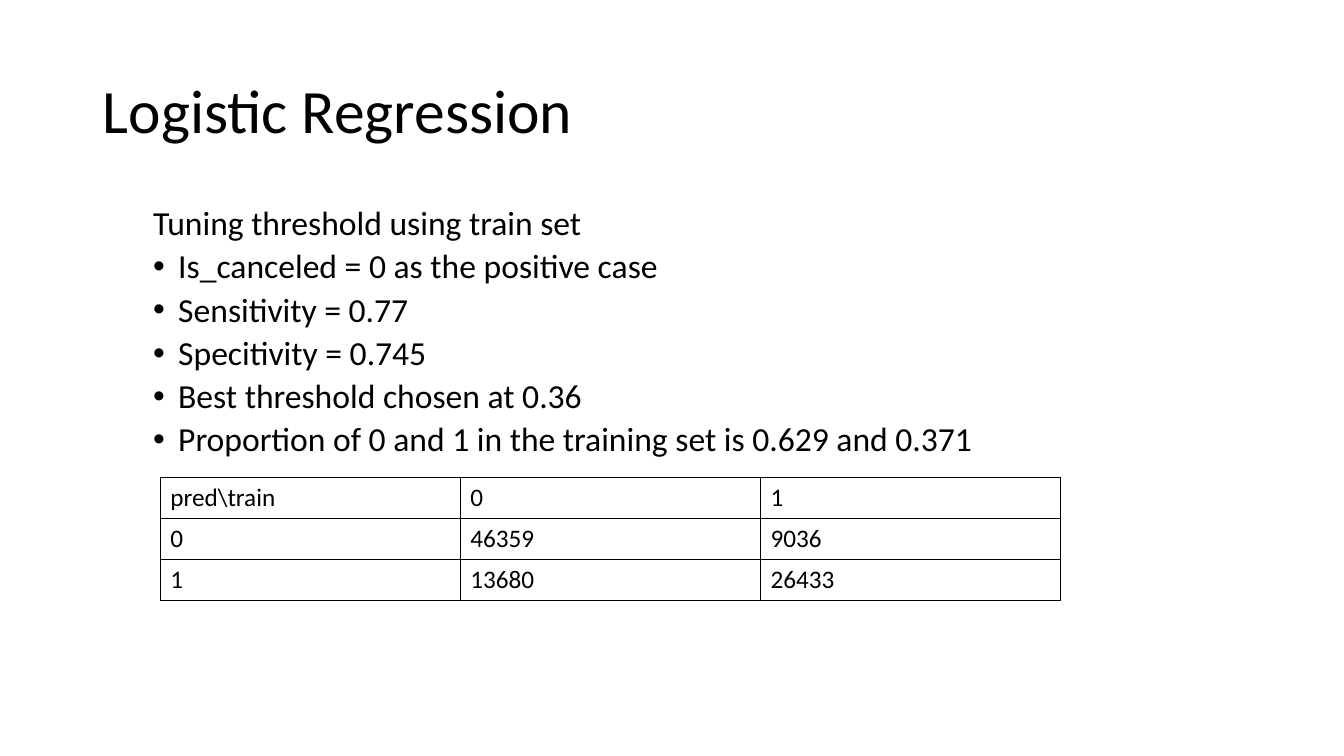
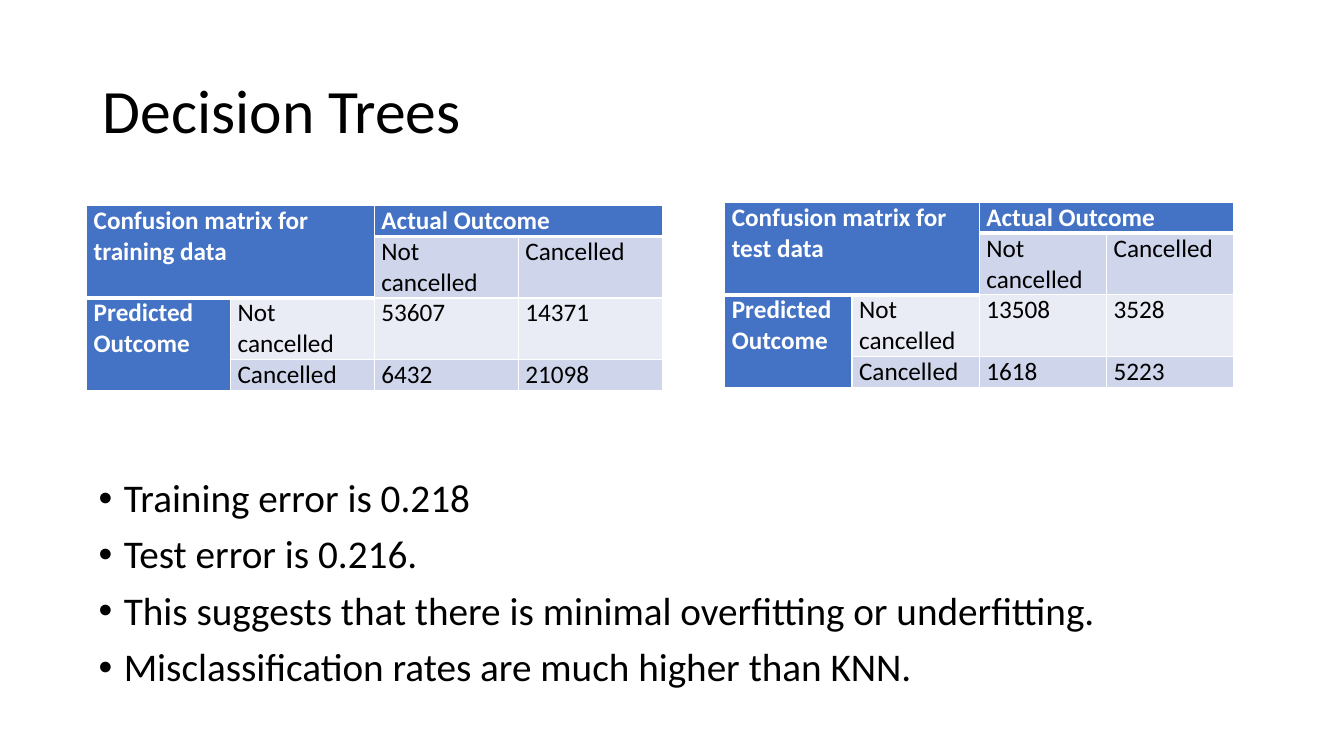
"""Build two slides that report classifier results."""
from dataclasses import dataclass

from lxml.etree import SubElement
from pptx import Presentation
from pptx.dml.color import RGBColor
from pptx.enum.text import MSO_ANCHOR, MSO_AUTO_SIZE, PP_ALIGN
from pptx.oxml.ns import qn
from pptx.util import Emu, Inches, Pt


@dataclass(frozen=True)
class Theme:
    """Colours, type sizes and font of the deck."""
    font: str = "Calibri"
    ink: str = "000000"
    paper: str = "FFFFFF"
    accent: str = "4472C4"
    band_dark: str = "CFD5EA"
    band_light: str = "E9EBF5"
    title: int = 44
    body: int = 28
    sub: int = 24
    cell: int = 18


def write(p, text, *, size, color, font, bold=False):
    """Add one formatted run to a paragraph."""
    r = p.add_run()
    r.text = text
    r.font.name, r.font.size, r.font.bold = font, Pt(size), bold
    r.font.color.rgb = RGBColor.from_string(color)


class Deck:
    """Hold the theme and the current slide, placed on a grid of 100 by 100."""

    def __init__(self, theme):
        """Start a wide presentation."""
        self.theme = theme
        self.prs = Presentation()
        self.prs.slide_width, self.prs.slide_height = Emu(12192000), Inches(7.5)
        self.s = None

    def x(self, cols):
        """Turn grid columns into a length."""
        return Emu(round(self.prs.slide_width * cols / 100))

    def y(self, rows):
        """Turn grid rows into a length."""
        return Emu(round(self.prs.slide_height * rows / 100))

    def box(self, left, top, width, height):
        """Turn a grid box into lengths."""
        return self.x(left), self.y(top), self.x(width), self.y(height)

    def slide(self, text):
        """Add a slide with a title."""
        t = self.theme
        self.s = self.prs.slides.add_slide(self.prs.slide_layouts[5])
        sp = self.s.shapes.title
        sp.left, sp.top, sp.width, sp.height = self.box(6.9, 5.33, 86.25, 19.33)
        tf = sp.text_frame
        tf.auto_size = MSO_AUTO_SIZE.NONE
        tf.vertical_anchor = MSO_ANCHOR.MIDDLE
        p = tf.paragraphs[0]
        p.alignment, p.line_spacing = PP_ALIGN.LEFT, 0.9
        write(p, text, size=t.title, color=t.ink, font=t.font)

    def bullets(self, box, items, *, size, gap, margin=0.25, lead=None):
        """Add a bulleted list, with an optional plain lead line."""
        t = self.theme
        tf = self.s.shapes.add_textbox(*self.box(*box)).text_frame
        tf.word_wrap = True
        lines = ([(lead, False)] if lead else []) + [(i, True) for i in items]
        for n, (text, bulleted) in enumerate(lines):
            p = tf.add_paragraph() if n else tf.paragraphs[0]
            p.line_spacing, p.space_before = 0.9, Pt(gap)
            pPr = p._p.get_or_add_pPr()
            hang = 0.25 if bulleted else 0
            pPr.set("marL", str(Inches(margin if bulleted else margin - 0.25)))
            pPr.set("indent", str(-Inches(hang)))
            if bulleted:
                SubElement(pPr, qn("a:buFont"), typeface="Arial")
                SubElement(pPr, qn("a:buChar"), char="•")
            write(p, text, size=size, color=t.ink, font=t.font)

    def borders(self, cell, color, **widths):
        """Draw the four borders of a cell, one point wide unless given."""
        tcPr = cell._tc.get_or_add_tcPr()
        for side in "LRTB":
            ln = SubElement(tcPr, qn(f"a:ln{side}"), w=str(Pt(widths.get(side, 1))))
            SubElement(SubElement(ln, qn("a:solidFill")), qn("a:srgbClr"), val=color)

    def grid(self, left, top, width, heights, cols):
        """Add an unstyled table with equal columns."""
        frame = self.s.shapes.add_table(
            len(heights), cols, *self.box(left, top, width, sum(heights)))
        table = frame.table
        table.first_row = table.horz_banding = False
        for row, height in zip(table.rows, heights):
            row.height = self.y(height)
        return table

    def plain_table(self, left, top, width, row_height, rows):
        """Add a table with thin dark rules and no fill."""
        t = self.theme
        table = self.grid(left, top, width, [row_height] * len(rows), len(rows[0]))
        for i, row in enumerate(rows):
            for j, text in enumerate(row):
                cell = table.cell(i, j)
                self.borders(cell, t.ink)
                cell.fill.background()
                write(cell.text_frame.paragraphs[0], text,
                      size=t.cell, color=t.ink, font=t.font)

    def confusion(self, left, top, width, data, counts):
        """Add a two-by-two confusion matrix with merged headings."""
        t = self.theme
        no, yes = "Not cancelled", "Cancelled"
        rows = [[f"Confusion matrix for {data} data", "", "Actual Outcome", ""],
                ["", "", no, yes],
                ["Predicted Outcome", no, *counts[0]],
                ["", yes, *counts[1]]]
        heavy = {(1, 2), (1, 3), (2, 0), (2, 1)}
        table = self.grid(left, top, width, [4.07 * n for n in (1, 2, 2, 1)], 4)
        for first, last in (((0, 0), (1, 1)), ((0, 2), (0, 3)), ((2, 0), (3, 0))):
            table.cell(*first).merge(table.cell(*last))
        for i, row in enumerate(rows):
            for j, text in enumerate(row):
                cell = table.cell(i, j)
                head = i == 0 or j == 0 or (i, j) == (1, 1)
                cell.margin_left = cell.margin_right = Inches(0.07)
                cell.margin_top = cell.margin_bottom = 0
                self.borders(cell, t.paper, T=3 if (i, j) in heavy else 1,
                             B=3 if (i + 1, j) in heavy or (i, j) == (0, 0) else 1)
                band = t.band_light if i == 2 else t.band_dark
                cell.fill.solid()
                cell.fill.fore_color.rgb = RGBColor.from_string(
                    t.accent if head else band)
                if text:
                    write(cell.text_frame.paragraphs[0], text, size=t.cell, bold=head,
                          color=t.paper if head else t.ink, font=t.font)


def main():
    """Build and save the deck."""
    theme = Theme()
    deck = Deck(theme)

    deck.slide("Logistic Regression")
    deck.bullets((6.9, 26.67, 86.25, 63.47),
                 ["Is_canceled\u00a0= 0 as the positive case",
                  "Sensitivity = 0.77",
                  "Specitivity\u00a0= 0.745",
                  "Best threshold chosen at 0.36",
                  "Proportion of 0 and 1 in the training set is 0.629 and 0.371"],
                 size=theme.sub, gap=5, margin=0.75,
                 lead="Tuning threshold using train set")
    deck.plain_table(11.93, 63.2, 66.98, 5.41,
                     [["pred\\train", "0", "1"],
                      ["0", "46359", "9036"],
                      ["1", "13680", "26433"]])

    deck.slide("Decision Trees")
    deck.bullets((6.6, 62.67, 86.25, 30.27),
                 ["Training error is 0.218",
                  "Test error is 0.216.\u00a0",
                  "This suggests that there is minimal overfitting or underfitting.\u00a0",
                  "Misclassification rates are much higher than KNN."],
                 size=theme.body, gap=10)
    deck.confusion(6.45, 27.2, 42.83, "training",
                   [["53607", "14371"], ["6432", "21098"]])
    deck.confusion(53.93, 26.8, 37.88, "test",
                   [["13508", "3528"], ["1618", "5223"]])

    deck.prs.save("out.pptx")


main()
